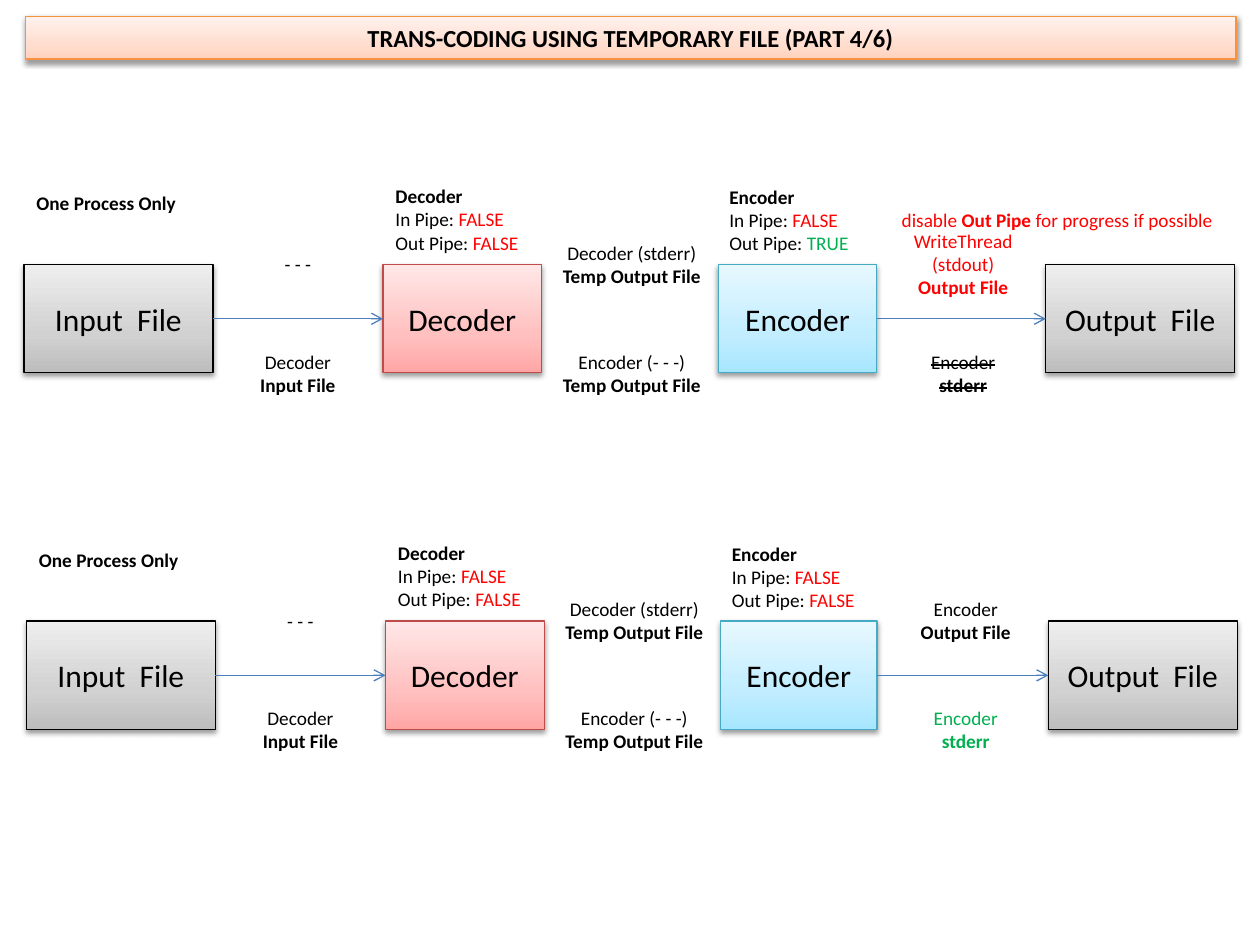
from copy import deepcopy
from dataclasses import dataclass
from typing import NamedTuple

from lxml.etree import SubElement
from pptx import Presentation
from pptx.dml.color import RGBColor
from pptx.enum.shapes import MSO_CONNECTOR, MSO_SHAPE
from pptx.enum.text import MSO_ANCHOR, MSO_AUTO_SIZE, PP_ALIGN
from pptx.oxml.ns import qn
from pptx.util import Inches, Pt

COLS, ROWS = 100, 75
WIDTH, HEIGHT = Inches(10), Inches(7.5)


class Style(NamedTuple):
    line: str
    stops: tuple[str, str, str]


@dataclass(frozen=True)
class Theme:
    font: str = "Calibri"
    title: int = 14
    box: int = 18
    label: int = 11
    hairline: float = 0.75
    black: str = "000000"
    red: str = "FF0000"
    green: str = "00B050"
    arrow: str = "4B7EBC"
    orange: Style = Style("F69240", ("FFD2BD", "FFDED0", "FFF2ED"))
    gray: Style = Style("000000", ("BDBDBD", "D1D1D1", "EEEEEE"))
    rose: Style = Style("BF4C48", ("FFA6A5", "FFC0BF", "FFE7E7"))
    blue: Style = Style("46AAC5", ("A7E6FF", "C1EDFF", "E7F8FF"))


T = Theme()


class Run(NamedTuple):
    text: str
    bold: bool = False
    color: str = T.black
    strike: bool = False


class Area(NamedTuple):
    col: float
    row: float
    cols: float
    rows: float

    def emu(self) -> tuple[int, int, int, int]:
        return (int(WIDTH * self.col / COLS), int(HEIGHT * self.row / ROWS),
                int(WIDTH * self.cols / COLS), int(HEIGHT * self.rows / ROWS))


Lines = list[list[Run]]


@dataclass(frozen=True)
class Flow:
    col: float
    row: float
    encoder_cols: float
    encoder_out: bool
    handover: Lines
    result: Lines
    status: Lines


def rgb(color: str) -> RGBColor:
    return RGBColor.from_string(color)


def write(sp, lines: Lines, size: int, align=PP_ALIGN.CENTER) -> None:
    tf = sp.text_frame
    tf.word_wrap = True
    tf.vertical_anchor = MSO_ANCHOR.MIDDLE
    for i, runs in enumerate(lines):
        p = tf.add_paragraph() if i else tf.paragraphs[0]
        p.alignment = align
        p.font.name, p.font.size = T.font, Pt(size)
        p.font.bold, p.font.color.rgb = runs[0].bold, rgb(runs[0].color)
        for run in runs:
            r = p.add_run()
            r.text = run.text
            if run.bold != runs[0].bold:
                r.font.bold = run.bold
            if run.color != runs[0].color:
                r.font.color.rgb = rgb(run.color)
            if run.strike:
                r.font._element.set("strike", "sngStrike")


def add_box(s, area: Area, style: Style, run: Run, size: int):
    sp = s.shapes.add_shape(MSO_SHAPE.RECTANGLE, *area.emu())
    sp.fill.gradient()
    sp.fill.gradient_angle = 90
    stop_list = sp._element.spPr.find(qn("a:gradFill")).find(qn("a:gsLst"))
    stop_list.append(deepcopy(stop_list[0]))
    for stop, position, color in zip(sp.fill.gradient_stops, (0, 0.35, 1), style.stops):
        stop.position, stop.color.rgb = position, rgb(color)
    sp.line.color.rgb, sp.line.width = rgb(style.line), Pt(T.hairline)
    sp.shadow.inherit = False
    effects = sp._element.spPr.find(qn("a:effectLst"))
    shadow = SubElement(effects, qn("a:outerShdw"), blurRad="40000", dist="20000",
                        dir="5400000", rotWithShape="0")
    color = SubElement(shadow, qn("a:srgbClr"), val=T.black)
    SubElement(color, qn("a:alpha"), val="38000")
    write(sp, [[run]], size)
    return sp


def add_label(s, area: Area, lines: Lines, align=PP_ALIGN.CENTER) -> None:
    write(s.shapes.add_textbox(*area.emu()), lines, T.label, align)


def add_arrow(s, source, target) -> None:
    c = s.shapes.add_connector(MSO_CONNECTOR.STRAIGHT, 0, 0, 0, 0)
    c.begin_connect(source, 3)
    c.end_connect(target, 1)
    c.line.color.rgb, c.line.width = rgb(T.arrow), Pt(T.hairline)
    SubElement(c.line._get_or_add_ln(), qn("a:tailEnd"), type="arrow")
    SubElement(c._element.spPr, qn("a:effectLst"))


def pipes(name: str, out_pipe: bool = False) -> Lines:
    def flag(on: bool) -> Run:
        return Run("TRUE", color=T.green) if on else Run("FALSE", color=T.red)

    return [[Run(name, True)],
            [Run("In Pipe: "), flag(False)],
            [Run("Out Pipe: "), flag(out_pipe)]]


def pair(first: str, second: str, color: str = T.black, strike: bool = False) -> Lines:
    return [[Run(first, False, color, strike)], [Run(second, True, color, strike)]]


def draw_flow(s, flow: Flow) -> None:
    boxes = [
        add_box(s, Area(flow.col + col, flow.row, cols, 8.6), style, Run(name), T.box)
        for name, col, cols, style in (
            ("Input  File", 0, 15, T.gray),
            ("Decoder", 28.5, 12.6, T.rose),
            ("Encoder", 55.1, flow.encoder_cols, T.blue),
            ("Output  File", 81.1, 15, T.gray),
        )
    ]
    add_arrow(s, *boxes[:2])
    add_arrow(s, *boxes[2:])

    gaps = (
        (14.9, [[Run("- - -")]], pair("Decoder", "Input File")),
        (41.4, pair("Decoder (stderr)", "Temp Output File"), flow.handover),
        (67.7, flow.result, flow.status),
    )
    for col, above, below in gaps:
        for row, lines in ((-4.35, above), (4.3, below)):
            add_label(s, Area(flow.col + col, flow.row + row, 13.7, 8.6), lines)

    headings = (
        (0, 28.5, 4.4, [[Run("One Process Only", True)]]),
        (28.5, 12.8, 7, pipes("Decoder")),
        (55, 12.8, 7.1, pipes("Encoder", flow.encoder_out)),
    )
    for col, cols, rows, lines in headings:
        add_label(s, Area(flow.col + col, flow.row - 7.1, cols, rows), lines, PP_ALIGN.LEFT)


FLOWS = (
    Flow(1.9, 21, 12.6, True,
         [[Run("Encoder (- - -) "), Run("Temp Output File", True)]],
         pair("WriteThread (stdout)", "Output File", T.red),
         pair("Encoder", "stderr", strike=True)),
    Flow(2.1, 49.3, 12.4, False,
         pair("Encoder (- - -)", "Temp Output File"),
         pair("Encoder", "Output File"),
         pair("Encoder", "stderr", T.green)),
)


def main() -> None:
    prs = Presentation()
    prs.slide_width, prs.slide_height = WIDTH, HEIGHT
    s = prs.slides.add_slide(prs.slide_layouts[6])
    title = add_box(s, Area(2, 1.3, 96.1, 3.4), T.orange,
                    Run("TRANS-CODING USING TEMPORARY FILE (PART 4/6)", True), T.title)
    title.text_frame.vertical_anchor = MSO_ANCHOR.TOP
    title.text_frame.auto_size = MSO_AUTO_SIZE.SHAPE_TO_FIT_TEXT
    for flow in FLOWS:
        draw_flow(s, flow)
    add_label(s, Area(69.8, 15.3, 28.2, 4.3),
              [[Run("disable ", color=T.red), Run("Out Pipe", True, T.red),
                Run(" for progress if possible", color=T.red)]])
    prs.save("out.pptx")


if __name__ == "__main__":
    main()
